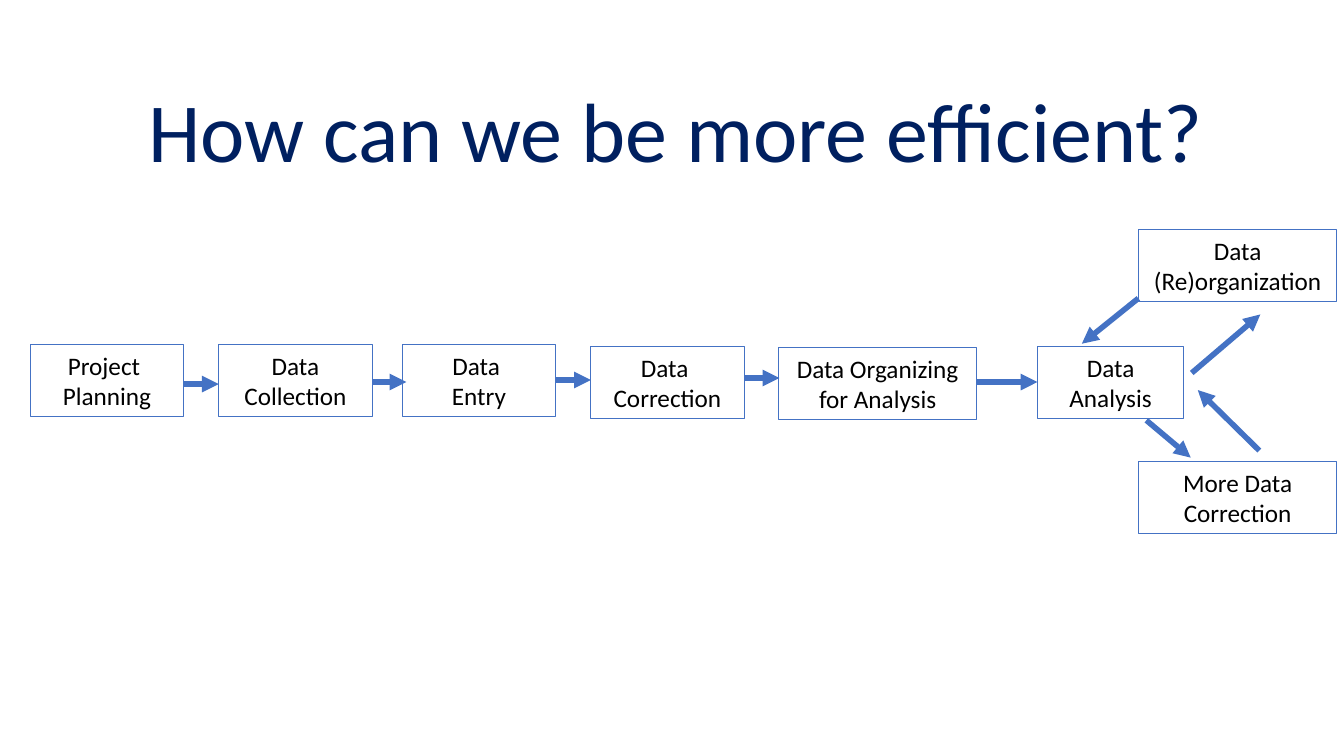
from lxml import etree
from pptx import Presentation
from pptx import util as u
from pptx.dml.color import RGBColor
from pptx.enum import shapes, text
from pptx.oxml.ns import qn

PX = 9144  # EMU in one px, 100 px to the inch
THEME = {
    "font": "Calibri",
    "title": RGBColor(0x00, 0x20, 0x60),
    "label": RGBColor(0x00, 0x00, 0x00),
    "accent": RGBColor(0x44, 0x72, 0xC4),
    "title_size": u.Pt(60),
    "label_size": u.Pt(18),
    "border": u.Pt(0.75),
    "arrow": u.Pt(4),
}


def write(frame, wording, role, align):
    """Fill a frame with one paragraph per line, in the theme's style for the role."""
    frame.word_wrap = True
    frame.text = wording
    style = {"name": THEME["font"], "size": THEME[role + "_size"]}
    for paragraph in frame.paragraphs:
        paragraph.alignment = align
        for attribute, value in style.items():
            setattr(paragraph.font, attribute, value)
        paragraph.font.color.rgb = THEME[role]


deck = Presentation()
deck.slide_width, deck.slide_height = 1333 * PX, 750 * PX
slide = deck.slides.add_slide(deck.slide_layouts[6])

heading = slide.shapes.add_textbox(137 * PX, 73 * PX, 1139 * PX, 111 * PX)
write(heading.text_frame, "How can we be more efficient?", "title", text.PP_ALIGN.LEFT)

# Wording, left, top, width
STEP_HEIGHT = 71
steps = [
    ("Project \nPlanning", 30, 342, 152),
    ("Data Collection", 217, 342, 152),
    ("Data \nEntry", 399, 342, 152),
    ("Data \nCorrection", 586, 344, 152),
    ("Data Organizing for Analysis", 772, 345, 197),
    ("More Data Correction", 1129, 458, 197),
    ("Data (Re)organization", 1129, 228, 197),
    ("Data Analysis", 1029, 344, 145),
]
for wording, left, top, width in steps:
    step = slide.shapes.add_shape(
        shapes.MSO_SHAPE.RECTANGLE, left * PX, top * PX, width * PX, STEP_HEIGHT * PX
    )
    step.shadow.inherit = False
    step.fill.background()
    step.line.color.rgb = THEME["accent"]
    step.line.width = THEME["border"]
    write(step.text_frame, wording, "label", text.PP_ALIGN.CENTER)

# Start x, y and end x, y
flows = [
    (182, 381, 217, 381),
    (369, 379, 403, 379),
    (551, 377, 586, 377),
    (738, 375, 773, 375),
    (969, 379, 1029, 379),
    (1182, 370, 1250, 312),
    (1249, 447, 1188, 387),
    (1137, 417, 1181, 454),
    (1129, 296, 1073, 341),
]
for ends in flows:
    flow = slide.shapes.add_connector(
        shapes.MSO_CONNECTOR.STRAIGHT, *(length * PX for length in ends)
    )
    flow.line.color.rgb = THEME["accent"]
    flow.line.width = THEME["arrow"]
    etree.SubElement(flow.line._get_or_add_ln(), qn("a:tailEnd"), type="triangle")
    etree.SubElement(flow._element.spPr, qn("a:effectLst"))

deck.save("out.pptx")
